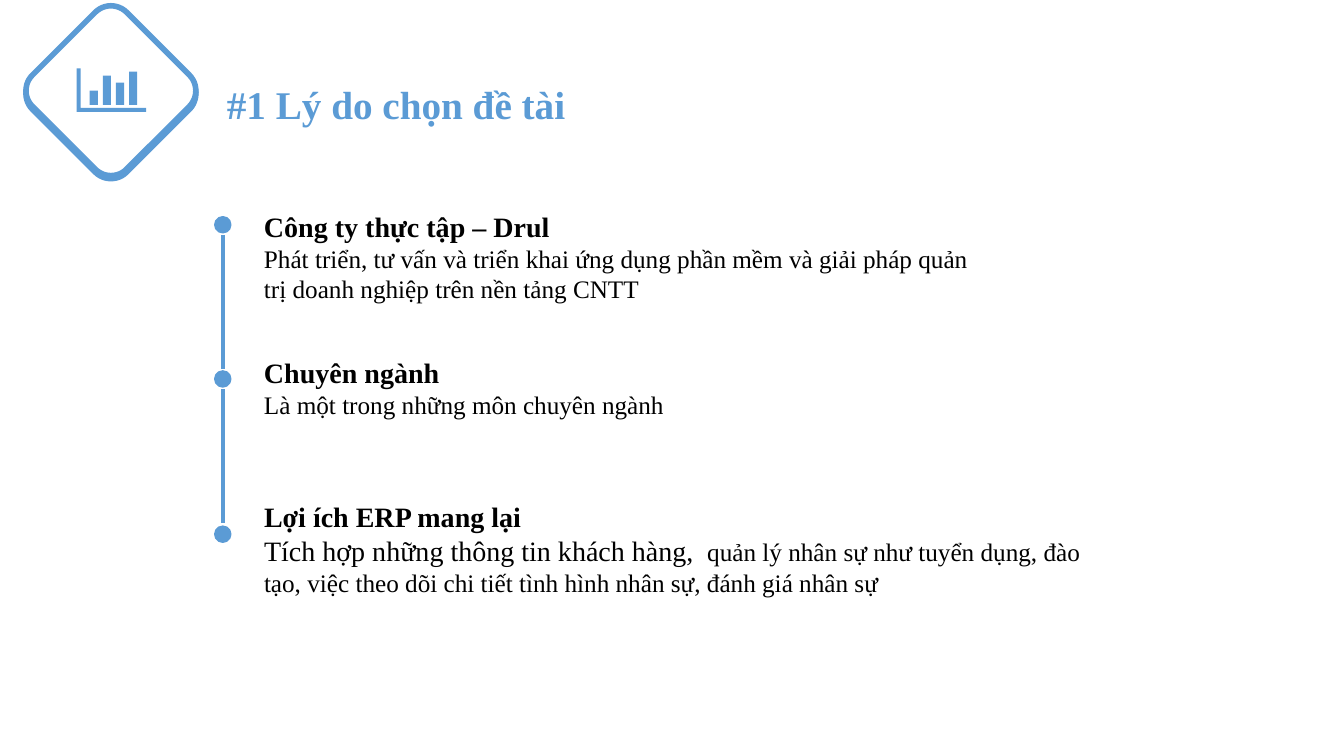
from pptx import Presentation
from pptx.dml.color import RGBColor
from pptx.enum.shapes import MSO_CONNECTOR, MSO_SHAPE
from pptx.enum.text import MSO_ANCHOR, MSO_AUTO_SIZE, PP_ALIGN
from pptx.oxml.ns import qn
from pptx.util import Pt
from lxml.etree import SubElement

PX = 9144
BLUE, WHITE, BLACK = "5B9BD5", "FFFFFF", "000000"
FONT = "Times New Roman"
ITEMS = [
    ((252, 203, 730, 104), "Công ty thực tập – Drul",
     [("Phát triển, tư vấn và triển khai ứng dụng phần mềm và giải pháp "
       "quản trị doanh nghiệp trên nền tảng CNTT", 18)]),
    ((252, 348, 730, 74), "Chuyên ngành",
     [("Là một trong những môn chuyên ngành", 18)]),
    ((252, 491, 848, 108), "Lợi ích ERP mang lại",
     [("Tích hợp những thông tin khách hàng, ", 20),
      (" quản lý nhân sự như tuyển dụng, đào tạo, việc theo dõi chi tiết "
       "tình hình nhân sự, đánh giá nhân sự", 18)]),
]


def color(code):
    return RGBColor.from_string(code)


def emu(box):
    return [n * PX for n in box]


def paint(shape, fill, width):
    shape.shadow.inherit = False
    shape.fill.solid()
    shape.fill.fore_color.rgb = color(fill)
    if width:
        shape.line.color.rgb = color(BLUE)
        shape.line.width = Pt(width)
    else:
        shape.line.fill.background()


def add_run(para, text, size, bold, code):
    run = para.add_run()
    run.text = text
    font = run.font
    font.name, font.size, font.bold = FONT, Pt(size), bold
    font.color.rgb = color(code)


def add_title(slide, box):
    title = slide.shapes.title
    title.left, title.top, title.width, title.height = emu(box)
    frame = title.text_frame
    frame.word_wrap = False
    frame.auto_size = MSO_AUTO_SIZE.NONE
    frame.vertical_anchor = MSO_ANCHOR.TOP
    para = frame.paragraphs[0]
    para.alignment = PP_ALIGN.LEFT
    add_run(para, "#1 Lý do chọn đề tài", 28, True, BLUE)


def add_badge(slide, box):
    left, top, width, height = box
    for drop in (3, 0):
        frame = slide.shapes.add_shape(
            MSO_SHAPE.ROUNDED_RECTANGLE, *emu((left, top + drop, width, height)))
        frame.rotation = 45
        paint(frame, WHITE, 4)
    add_chart_icon(slide, (left + 32, top + 44, 69, 43))


def add_chart_icon(slide, box):
    left, top, width, height = box
    right, base = left + width, top + height
    icon = slide.shapes.build_freeform(right, base, scale=PX)
    icon.add_line_segments([(left, base), (left, top), (left + 4, top),
                            (left + 4, base - 4), (right, base - 4)])
    for i, rise in enumerate((14, 29, 22, 33)):
        x, y = left + 13 * (i + 1), base - 7
        icon.move_to(x, y)
        icon.add_line_segments([(x, y - rise), (x + 8, y - rise), (x + 8, y)])
    paint(icon.convert_to_shape(), BLUE, 0)


def add_rail(slide, box):
    left, top, size, height = box
    count = len(ITEMS)
    for i in range(count):
        y = top + i * (height - size) // (count - 1)
        dot = slide.shapes.add_shape(MSO_SHAPE.OVAL, *emu((left, y, size, size)))
        paint(dot, BLUE, 1)
        if i < count - 1:
            x = left + size // 2
            line = slide.shapes.add_connector(
                MSO_CONNECTOR.STRAIGHT, *emu((x, y + 18, x, y + 151)))
            line.line.color.rgb = color(BLUE)
            line.line.width = Pt(2.5)
            SubElement(line.element.spPr, qn("a:effectLst"))


def add_item(slide, box, head, body):
    frame = slide.shapes.add_textbox(*emu(box)).text_frame
    frame.word_wrap = True
    frame.auto_size = MSO_AUTO_SIZE.SHAPE_TO_FIT_TEXT
    add_run(frame.paragraphs[0], head, 20, True, BLACK)
    para = frame.add_paragraph()
    for text, size in body:
        add_run(para, text, size, False, BLACK)


def main():
    deck = Presentation()
    deck.slide_width, deck.slide_height = emu((1333, 750))
    slide = deck.slides.add_slide(deck.slide_layouts[5])
    add_title(slide, (215, 75, 369, 57))
    add_badge(slide, (44, 24, 132, 132))
    add_rail(slide, (213, 215, 16, 323))
    for box, head, body in ITEMS:
        add_item(slide, box, head, body)
    deck.save("out.pptx")


if __name__ == "__main__":
    main()
